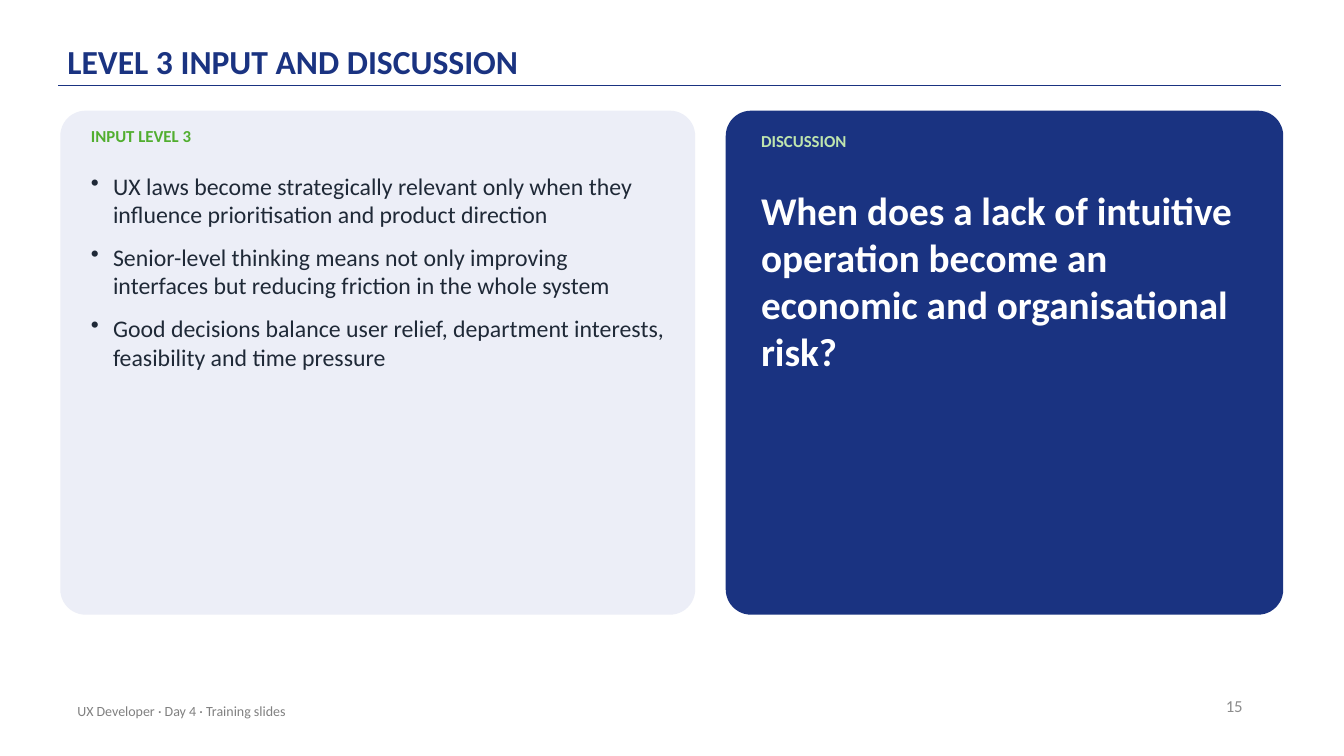
from lxml.etree import SubElement
from pptx import Presentation
from pptx.dml.color import RGBColor
from pptx.enum.shapes import MSO_CONNECTOR, MSO_SHAPE
from pptx.enum.text import MSO_ANCHOR, MSO_AUTO_SIZE, PP_ALIGN
from pptx.oxml.ns import qn
from pptx.util import Cm, Pt

NAVY, PALE, GREEN, MINT = "1A3381", "ECEEF7", "51AE2F", "BFE5AE"
INK, WHITE, PAGE_GREY, FOOTER_GREY = "1F2937", "FFFFFF", "8C8C8C", "808080"
FONT = "Calibri"
CARD_TOP, CARD_HEIGHT = 2.79, 12.7

INPUTS = [
    "UX laws become strategically relevant only when they influence "
    "prioritisation and product direction",
    "Senior-level thinking means not only improving interfaces but reducing "
    "friction in the whole system",
    "Good decisions balance user relief, department interests, feasibility "
    "and time pressure",
]
QUESTION = ("When does a lack of intuitive operation become an economic and "
            "organisational risk?")


def colour(hex_code):
    return RGBColor.from_string(hex_code)


def add_bullet(paragraph):
    properties = paragraph._p.get_or_add_pPr()
    properties.set("marL", str(Cm(0.56)))
    properties.set("indent", str(-Cm(0.56)))
    SubElement(properties, qn("a:buChar"), char="•")


def add_text(slide, box, paragraphs, size, hex_code, bold=False, bulleted=False,
             space_after=None, align=None, anchor=MSO_ANCHOR.TOP,
             margins=(0, 0), grow=False):
    """Write paragraphs in a box (left, top, width, height in cm);
    margins are the horizontal and vertical insets in cm."""
    frame = slide.shapes.add_textbox(*map(Cm, box)).text_frame
    frame.word_wrap = True
    frame.auto_size = MSO_AUTO_SIZE.SHAPE_TO_FIT_TEXT if grow else MSO_AUTO_SIZE.NONE
    frame.vertical_anchor = anchor
    frame.margin_left = frame.margin_right = Cm(margins[0])
    frame.margin_top = frame.margin_bottom = Cm(margins[1])
    frame.text = "\n".join(paragraphs)
    for paragraph in frame.paragraphs:
        if space_after is not None:
            paragraph.space_after = Pt(space_after)
        if align is not None:
            paragraph.alignment = align
        if bulleted:
            add_bullet(paragraph)
        for run in paragraph.runs:
            run.font.name = FONT
            run.font.size = Pt(size)
            run.font.bold = bold
            run.font.color.rgb = colour(hex_code)
    return frame


def add_title(slide, title):
    frame = add_text(slide, (1.7, 0.3, 27.94, 1.83), [title], 24, NAVY, bold=True,
                     anchor=MSO_ANCHOR.BOTTOM, margins=(0, 0.08))
    frame.paragraphs[0].line_spacing = 0.9
    rule = slide.shapes.add_connector(
        MSO_CONNECTOR.STRAIGHT, Cm(32.28), Cm(2.16), Cm(1.47), Cm(2.16))
    rule.line.color.rgb = colour(NAVY)
    rule.line.width = Pt(1)
    SubElement(rule._element.spPr, qn("a:effectLst"))


def add_card(slide, left, width, fill):
    card = slide.shapes.add_shape(MSO_SHAPE.ROUNDED_RECTANGLE, Cm(left),
                                  Cm(CARD_TOP), Cm(width), Cm(CARD_HEIGHT))
    card.adjustments[0] = 0.05
    card.shadow.inherit = False
    card.fill.solid()
    card.fill.fore_color.rgb = colour(fill)
    card.line.fill.background()


def add_card_label(slide, box, label, hex_code):
    add_text(slide, box, [label], 12, hex_code, bold=True, space_after=6, grow=True)


def add_footer(slide, note, page):
    small_print = dict(anchor=MSO_ANCHOR.MIDDLE, margins=(0.25, 0.13))
    add_text(slide, (23.95, 17.27, 7.62, 1.02), [page], 12, PAGE_GREY,
             align=PP_ALIGN.RIGHT, **small_print)
    add_text(slide, (1.7, 17.4, 17.02, 1.02), [note], 10, FOOTER_GREY, **small_print)


def main():
    presentation = Presentation()
    presentation.slide_width, presentation.slide_height = Cm(33.87), Cm(19.05)
    slide = presentation.slides.add_slide(presentation.slide_layouts[6])

    add_title(slide, "LEVEL 3 INPUT AND DISCUSSION")
    add_footer(slide, "UX Developer · Day 4 · Training slides", "15")

    add_card(slide, 1.52, 16, PALE)
    add_card_label(slide, (2.29, 3.18, 14.48, 0.89), "INPUT LEVEL 3", GREEN)
    add_text(slide, (2.29, 4.32, 14.48, 10.67), INPUTS, 17, INK,
             bulleted=True, space_after=10, grow=True)

    add_card(slide, 18.29, 14.05, NAVY)
    add_card_label(slide, (19.18, 3.3, 11.43, 0.89), "DISCUSSION", MINT)
    add_text(slide, (19.18, 4.7, 12.27, 10.16), [QUESTION], 28, WHITE,
             bold=True, space_after=6, grow=True)

    presentation.save("out.pptx")


if __name__ == "__main__":
    main()
